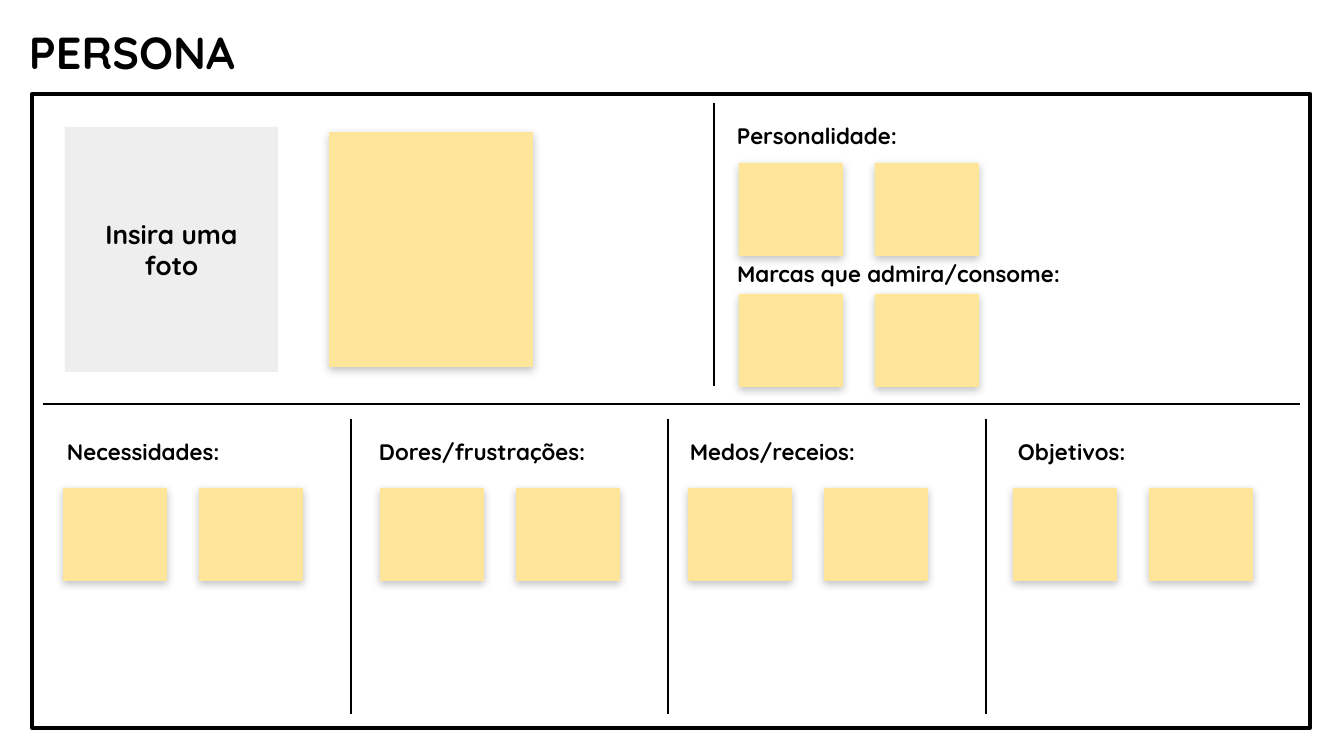
from lxml import etree
from pptx import Presentation
from pptx import util as u
from pptx.dml.color import RGBColor
from pptx.enum import shapes, text
from pptx.oxml import ns

SCALE = 914400 / 134.4
FONT = "Quicksand"
COLORS = {"ink": "000000", "photo": "EEEEEE", "note": "FFE599"}
NOTE_WIDTH, NOTE_HEIGHT, NOTE_STEP = 104, 93, 136
LABEL_HEIGHT = 48


def px(value):
    """Turn pixels into EMU."""
    return u.Emu(round(value * SCALE))


def color(name):
    """Look up a named colour."""
    return RGBColor.from_string(COLORS[name])


def write(box, words, size=12, align=text.PP_ALIGN.LEFT,
          anchor=text.MSO_ANCHOR.TOP, inset=13):
    """Fill a shape with one bold paragraph."""
    frame = box.text_frame
    frame.word_wrap = True
    frame.auto_size = text.MSO_AUTO_SIZE.NONE
    frame.vertical_anchor = anchor
    frame.margin_left = frame.margin_right = px(inset)
    frame.margin_top = frame.margin_bottom = px(inset)
    para = frame.paragraphs[0]
    para.alignment = align
    span = para.add_run()
    span.text = words
    span.font.name = FONT
    span.font.size = u.Pt(size)
    span.font.bold = True
    span.font.color.rgb = color("ink")


def add_title(page, words):
    """Place and format the title placeholder."""
    box = page.shapes.title
    box.left, box.top, box.width, box.height = map(px, (24, 22, 1126, 60))
    write(box, words, size=24, anchor=text.MSO_ANCHOR.MIDDLE, inset=5)


def add_label(page, words, left, top, width):
    """Add a section heading."""
    box = page.shapes.add_textbox(px(left), px(top), px(width), px(LABEL_HEIGHT))
    write(box, words)


def add_box(page, left, top, width, height, fill=None, line=None):
    """Add a flat rectangle with an optional fill and outline."""
    box = page.shapes.add_shape(shapes.MSO_SHAPE.RECTANGLE,
                                px(left), px(top), px(width), px(height))
    box.shadow.inherit = False
    if fill:
        box.fill.solid()
        box.fill.fore_color.rgb = color(fill)
    else:
        box.fill.background()
    if line:
        box.line.color.rgb = color("ink")
        box.line.width = u.Pt(line)
    else:
        box.line.fill.background()
    return box


def add_note(page, left, top, width=NOTE_WIDTH, height=NOTE_HEIGHT):
    """Add a sticky note with a soft shadow below it."""
    box = add_box(page, left, top, width, height, fill="note")
    effects = box._element.spPr.find(ns.qn("a:effectLst"))
    shadow = etree.SubElement(effects, ns.qn("a:outerShdw"),
                              blurRad=str(u.Pt(4.5)), dist=str(u.Pt(1.5)),
                              dir="5400000", algn="bl", rotWithShape="0")
    tint = etree.SubElement(shadow, ns.qn("a:srgbClr"), val=COLORS["ink"])
    etree.SubElement(tint, ns.qn("a:alpha"), val="24000")


def add_note_pair(page, left, top):
    """Add two small notes side by side."""
    for index in range(2):
        add_note(page, left + index * NOTE_STEP, top)


def add_divider(page, start_x, start_y, end_x, end_y):
    """Add a thin straight line."""
    line = page.shapes.add_connector(shapes.MSO_CONNECTOR.STRAIGHT,
                                     px(start_x), px(start_y), px(end_x), px(end_y))
    line.line.color.rgb = color("ink")
    line.line.width = u.Pt(0.75)
    etree.SubElement(line._element.spPr, ns.qn("a:effectLst"))


def main():
    """Build the persona canvas."""
    deck = Presentation()
    deck.slide_width, deck.slide_height = px(1344), px(756)
    page = deck.slides.add_slide(deck.slide_layouts[5])
    add_title(page, "PERSONA")
    add_box(page, 32, 94, 1278, 634, line=2.25)
    add_divider(page, 714, 103, 714, 386)
    add_divider(page, 1300, 404, 43, 404)
    for left in (351, 668, 986):
        add_divider(page, left, 419, left, 714)

    photo = add_box(page, 65, 127, 213, 245, fill="photo")
    write(photo, "Insira uma foto", size=14, align=text.PP_ALIGN.CENTER,
          anchor=text.MSO_ANCHOR.MIDDLE)
    add_note(page, 329, 132, 204, 235)

    traits = [("Personalidade:", 109, 501, 163),
              ("Marcas que admira/consome:", 247, 575, 294)]
    for words, top, width, note_top in traits:
        add_label(page, words, 724, top, width)
        add_note_pair(page, 739, note_top)

    columns = [("Necessidades:", 54, 63), ("Dores/frustrações:", 366, 380),
               ("Medos/receios:", 677, 688), ("Objetivos:", 1005, 1013)]
    for words, left, note_left in columns:
        add_label(page, words, left, 425, 289)
        add_note_pair(page, note_left, 488)
    deck.save("out.pptx")


if __name__ == "__main__":
    main()
